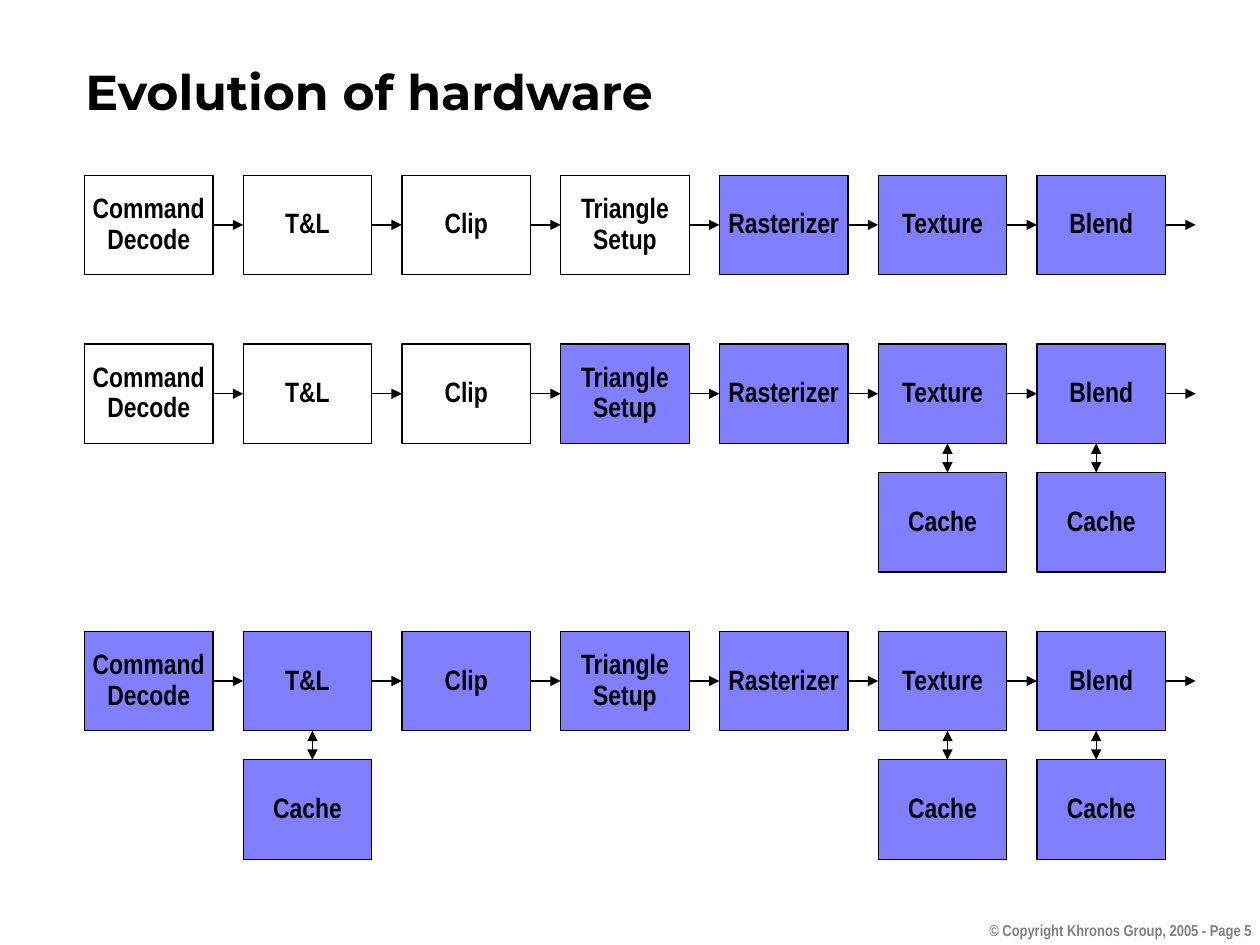
from dataclasses import dataclass

from lxml import etree
from pptx import Presentation
from pptx import util as u
from pptx.dml.color import RGBColor
from pptx.enum import shapes, text
from pptx.oxml.ns import qn


@dataclass(frozen=True)
class Theme:
    ink: str = "000000"
    software: str = "FFFFFF"
    hardware: str = "0000FF"
    footer: str = "808080"
    opacity: int = 50
    title_font: str = "Montserrat"
    label_font: str = "Arial Narrow"
    title_size: int = 28
    label_size: int = 16
    footer_size: int = 9
    line_width: float = 0.75


# Stage grid, in inches
LEFT, PITCH = 0.67, 1.26
BOX_WIDTH, BOX_HEIGHT = 1.02, 0.79
GAP = PITCH - BOX_WIDTH
CACHE_DROP = 1.02

STAGES = ["Command\nDecode", "T&L", "Clip", "Triangle\nSetup",
          "Rasterizer", "Texture", "Blend"]
CACHE_ARROW_OFFSETS = {"T&L": 0.55, "Texture": 0.55, "Blend": 0.47}

# Each generation: top, first hardware stage, unfilled stages, cached stages
GENERATIONS = [
    (1.39, 4, [], []),
    (2.73, 3, ["T&L", "Clip"], ["Texture", "Blend"]),
    (5.01, 0, [], ["T&L", "Texture", "Blend"]),
]


class SlideBuilder:
    def __init__(self, slide, theme):
        self.slide = slide
        self.theme = theme

    def set_text(self, shape, content, font, size, color, align, anchor,
                 wrap=True, spacing=None):
        frame = shape.text_frame
        frame.text = content
        frame.word_wrap = wrap
        frame.vertical_anchor = anchor
        font_format = {"name": font, "size": u.Pt(size), "bold": True}
        for paragraph in frame.paragraphs:
            paragraph.alignment = align
            paragraph.line_spacing = spacing
            for name, value in font_format.items():
                setattr(paragraph.font, name, value)
            paragraph.font.color.rgb = RGBColor.from_string(color)

    def text_box(self, content, left, top, width, height, **style):
        box = self.slide.shapes.add_textbox(
            *map(u.Inches, (left, top, width, height)))
        self.set_text(box, content, **style)

    def outline(self, shape):
        shape.line.color.rgb = RGBColor.from_string(self.theme.ink)
        shape.line.width = u.Pt(self.theme.line_width)

    def group(self):
        return self.slide.shapes.add_group_shape()

    def box(self, group, label, left, top, color):
        """Draw a labelled stage; a color of None leaves it unfilled."""
        shape = group.shapes.add_shape(
            shapes.MSO_SHAPE.RECTANGLE,
            *map(u.Inches, (left, top, BOX_WIDTH, BOX_HEIGHT)))
        shape.shadow.inherit = False
        if color is None:
            shape.fill.background()
        else:
            shape.fill.solid()
            shape.fill.fore_color.rgb = RGBColor.from_string(color)
            swatch = shape._element.spPr.find(qn("a:solidFill"))[0]
            etree.SubElement(swatch, qn("a:alpha"), val=str(self.theme.opacity * 1000))
        self.outline(shape)
        self.set_text(shape, label, self.theme.label_font, self.theme.label_size,
                      self.theme.ink, text.PP_ALIGN.CENTER,
                      text.MSO_ANCHOR.MIDDLE, wrap=False, spacing=0.9)
        return shape

    def arrow(self, group, start, end, both_ends=False):
        connector = group.shapes.add_connector(
            shapes.MSO_CONNECTOR.STRAIGHT, *map(u.Inches, start + end))
        self.outline(connector)
        line = connector._element.spPr.find(qn("a:ln"))
        for tag in ["a:headEnd", "a:tailEnd"] if both_ends else ["a:tailEnd"]:
            etree.SubElement(line, qn(tag), type="triangle")
        etree.SubElement(connector._element.spPr, qn("a:effectLst"))
        return connector

    def pipeline(self, top, first_hardware, unfilled, cached):
        theme, group = self.theme, self.group()
        lefts = [LEFT + index * PITCH for index in range(len(STAGES))]

        # Stages
        boxes = []
        for index, (label, left) in enumerate(zip(STAGES, lefts)):
            color = theme.hardware if index >= first_hardware else theme.software
            if label in unfilled:
                color = None
            boxes.append(self.box(group, label, left, top, color))

        # Flow arrows; the last one leaves the pipeline
        middle = top + BOX_HEIGHT / 2
        for index, left in enumerate(lefts):
            right = left + BOX_WIDTH
            arrow = self.arrow(group, (right, middle), (right + GAP, middle))
            arrow.begin_connect(boxes[index], 3)
            if index + 1 < len(boxes):
                arrow.end_connect(boxes[index + 1], 1)

        # Caches below their stages
        cache_top = top + CACHE_DROP
        for label in cached:
            left = lefts[STAGES.index(label)]
            self.box(group, "Cache", left, cache_top, theme.hardware)
            x = left + CACHE_ARROW_OFFSETS[label]
            self.arrow(group, (x, top + BOX_HEIGHT), (x, cache_top), both_ends=True)


def main():
    presentation = Presentation()
    presentation.slide_width = u.Inches(10)
    presentation.slide_height = u.Inches(7.5)
    theme = Theme()
    builder = SlideBuilder(
        presentation.slides.add_slide(presentation.slide_layouts[6]), theme)

    # Footer and title
    builder.text_box("© Copyright Khronos Group, 2005 - Page 5", 7.64, 7.26, 2.39, 0.33,
                     font=theme.label_font, size=theme.footer_size, color=theme.footer,
                     align=text.PP_ALIGN.RIGHT, anchor=text.MSO_ANCHOR.TOP)
    builder.text_box("Evolution of hardware", 0.58, 0.51, 9.37, 0.42,
                     font=theme.title_font, size=theme.title_size, color=theme.ink,
                     align=text.PP_ALIGN.LEFT, anchor=text.MSO_ANCHOR.MIDDLE)

    # Hardware generations
    for generation in GENERATIONS:
        builder.pipeline(*generation)

    presentation.save("out.pptx")


if __name__ == "__main__":
    main()
